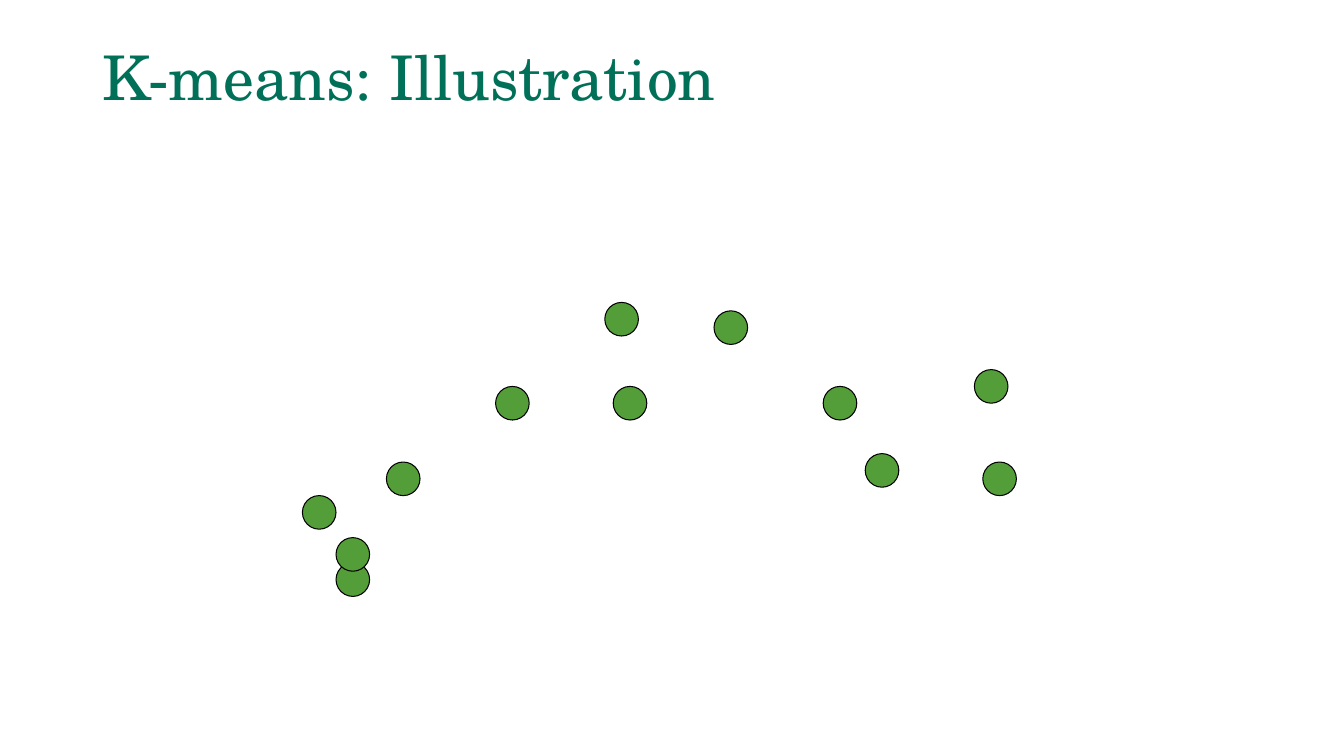
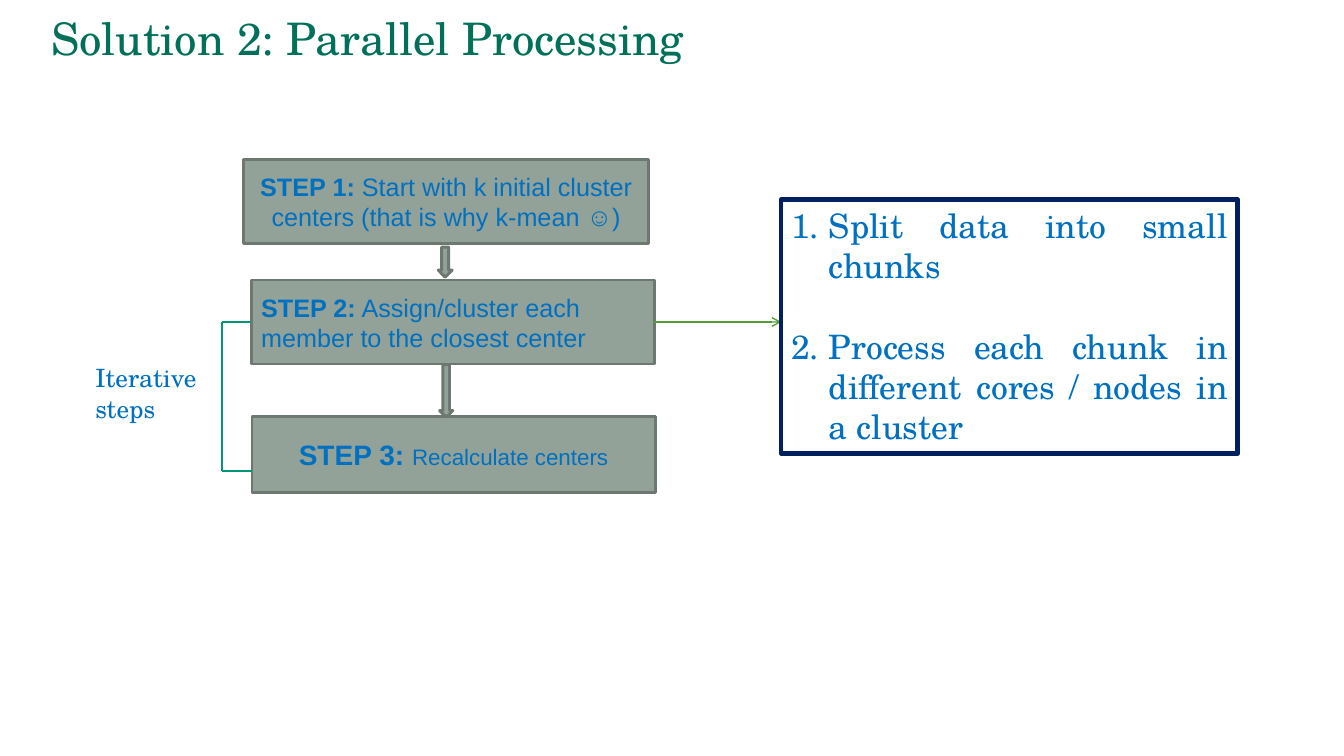
from dataclasses import dataclass

from pptx import Presentation
from pptx.dml.color import RGBColor as RGB
from pptx.enum.shapes import MSO_CONNECTOR, MSO_SHAPE
from pptx.enum.text import MSO_ANCHOR as ANCHOR, PP_ALIGN as ALIGN
from pptx.oxml.ns import qn
from pptx.util import Pt
from lxml.etree import SubElement


@dataclass(frozen=True)
class Theme:
    serif: str = "TeX Gyre Schola"
    sans: str = "Arial"
    title: str = "017058"
    text: str = "0070C0"
    dot: str = "549E39"
    dot_line: str = "000000"
    step: str = "93A299"
    step_line: str = "6D7871"
    loop: str = "029676"
    frame: str = "002060"
    label_size: int = 18
    list_size: int = 24


T = Theme()

# Data points: top left corners, in points
DOT_SIZE = 24
DOTS = [(240, 402), (216, 354), (276, 330), (696, 264), (432, 216), (510, 222),
        (438, 276), (354, 276), (702, 330), (588, 276), (240, 384), (618, 324)]

# Step box, alignment, (bold name, size), (description, size)
STEPS = [
    ((174, 114, 289.5, 60), ALIGN.CENTER, ("STEP 1:", 18),
     (" Start with k initial cluster centers (that is why k-mean ☺)", 18)),
    ((179.5, 200, 288, 60), ALIGN.LEFT, ("STEP 2:", 18),
     (" Assign/cluster each member to the closest center", 18)),
    ((180, 297.5, 288, 54), ALIGN.CENTER, ("STEP 3: ", 20),
     ("Recalculate centers", 16)),
]
DOWN_ARROWS = [(313, 176.5, 10, 21.5), (314, 260.5, 9.5, 37.5)]
LOOP_X, LOOP_TOP, LOOP_BOTTOM = 158.5, 230, 336.5
LIST_BOX = (558, 142.5, 326, 181.5)
LIST_ITEMS = ["Split data into small chunks",
              "Process each chunk in different cores / nodes in a cluster"]
LIST_INDENT, LIST_GAP = 27, 29


def pts(values):
    return [Pt(v) for v in values]


def style(r, size, font, color, bold=False):
    r.font.size, r.font.name, r.font.bold = Pt(size), font, bold
    r.font.color.rgb = RGB.from_string(color)


def set_line(shape, color, width):
    shape.line.color.rgb = RGB.from_string(color)
    shape.line.width = Pt(width)


def add_text(s, box, lines, size, color, anchor=ANCHOR.TOP):
    sp = s.shapes.add_textbox(*pts(box))
    tf = sp.text_frame
    tf.word_wrap, tf.vertical_anchor = True, anchor
    tf.text = "\n".join(lines)
    for p in tf.paragraphs:
        style(p.runs[0], size, T.serif, color)
    return sp


def add_title(s, text, box, size):
    sp = add_text(s, box, [text], size, T.title, ANCHOR.MIDDLE)
    sp.text_frame.paragraphs[0].line_spacing = 0.9


def add_shape(s, kind, box, fill, line, width):
    sp = s.shapes.add_shape(kind, *pts(box))
    sp.shadow.inherit = False
    sp.fill.solid()
    sp.fill.fore_color.rgb = RGB.from_string(fill)
    set_line(sp, line, width)
    return sp


def add_line(s, start, end, color, width):
    line = s.shapes.add_connector(MSO_CONNECTOR.STRAIGHT, *pts(start + end))
    set_line(line, color, width)
    SubElement(line._element.spPr, qn("a:effectLst"))
    return line


def add_step(s, box, align, *parts):
    sp = add_shape(s, MSO_SHAPE.RECTANGLE, box, T.step, T.step_line, 2.08)
    tf = sp.text_frame
    tf.word_wrap, tf.vertical_anchor = True, ANCHOR.MIDDLE
    p = tf.paragraphs[0]
    p.alignment = align
    for i, (text, size) in enumerate(parts):
        r = p.add_run()
        r.text = text
        style(r, size, T.sans, T.text, bold=i == 0)
    return sp


def add_numbered_list(s, box, items):
    sp = add_text(s, box, items, T.list_size, T.text)
    set_line(sp, T.frame, 3)
    for i, p in enumerate(sp.text_frame.paragraphs):
        p.alignment = ALIGN.JUSTIFY
        if i:
            p.space_before = Pt(LIST_GAP)
        pPr = p._p.get_or_add_pPr()
        pPr.set("marL", str(Pt(LIST_INDENT)))
        pPr.set("indent", str(-Pt(LIST_INDENT)))
        SubElement(pPr, qn("a:buFont"), typeface="+mj-lt")
        SubElement(pPr, qn("a:buAutoNum"), type="arabicPeriod")


def build_illustration(s):
    add_title(s, "K-means: Illustration", (66, 28.8, 828, 57.6), 44)
    for x, y in DOTS:
        add_shape(s, MSO_SHAPE.OVAL, (x, y, DOT_SIZE, DOT_SIZE),
                  T.dot, T.dot_line, 0.75)


def build_parallel(s):
    add_title(s, "Solution 2: Parallel Processing", (29.5, 8, 778, 42.5), 32)
    assign = [add_step(s, *step) for step in STEPS][1]
    for box in DOWN_ARROWS:
        add_shape(s, MSO_SHAPE.DOWN_ARROW, box, T.step, T.step_line, 2.08)

    top, bottom = (LOOP_X, LOOP_TOP), (LOOP_X, LOOP_BOTTOM)
    back = add_line(s, (STEPS[1][0][0], LOOP_TOP), top, T.loop, 1.5)
    back.begin_connect(assign, 1)
    add_line(s, (STEPS[2][0][0], LOOP_BOTTOM), bottom, T.loop, 1.5)
    add_line(s, top, bottom, T.loop, 1.5)
    add_text(s, (61, 255.5, 109, 51), ["Iterative steps"], T.label_size, T.text)

    x, y, w, h = STEPS[1][0]
    arrow = add_line(s, (x + w, y + h / 2), (LIST_BOX[0], y + h / 2), T.dot, 1)
    arrow.begin_connect(assign, 3)
    SubElement(arrow.line._get_or_add_ln(), qn("a:tailEnd"), type="arrow")
    add_numbered_list(s, LIST_BOX, LIST_ITEMS)


def main():
    prs = Presentation()
    prs.slide_width, prs.slide_height = Pt(960), Pt(540)
    for build in (build_illustration, build_parallel):
        build(prs.slides.add_slide(prs.slide_layouts[6]))
    prs.save("out.pptx")


if __name__ == "__main__":
    main()
